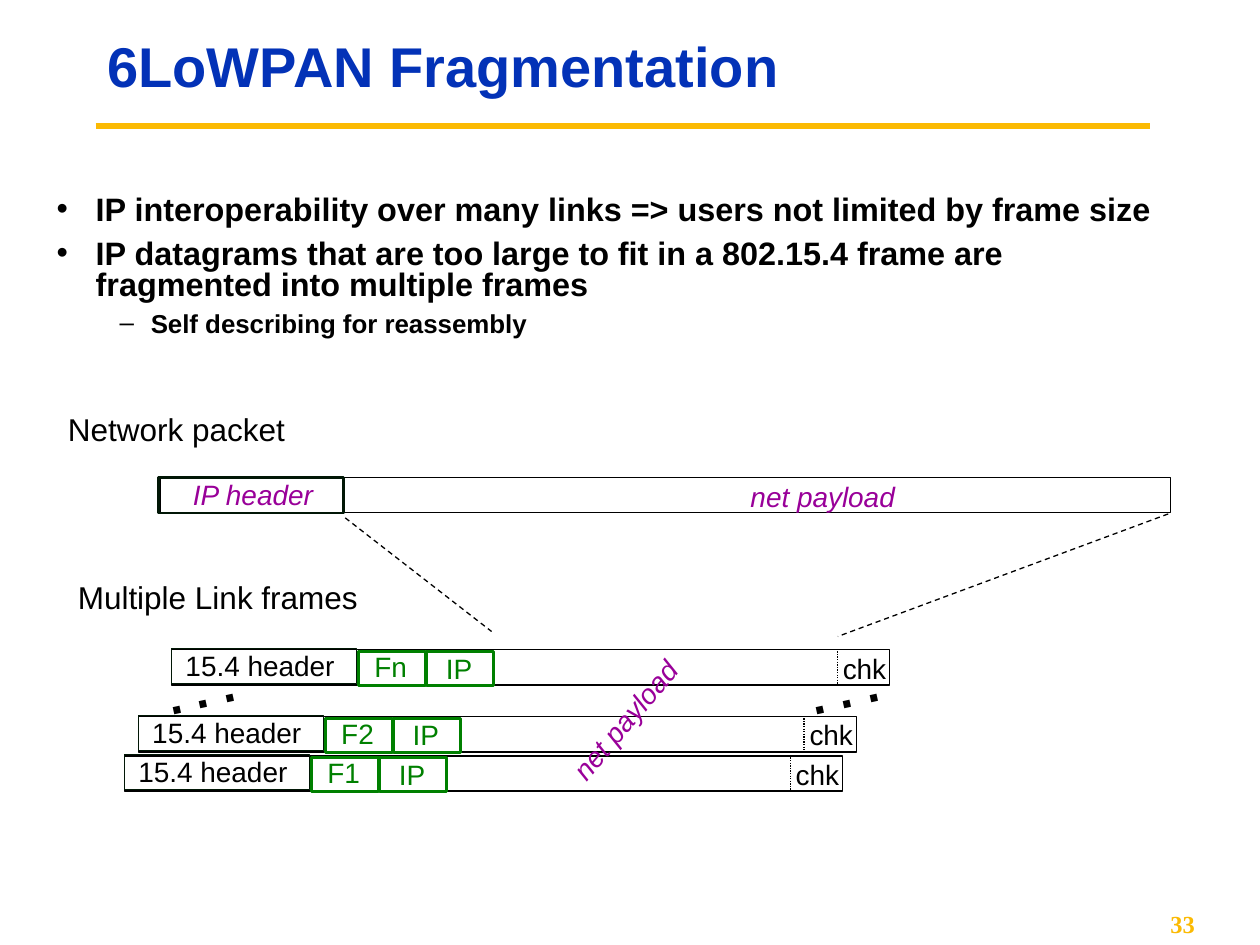
from lxml.etree import SubElement
from pptx import Presentation
from pptx.dml.color import RGBColor
from pptx.enum.dml import MSO_LINE
from pptx.enum.shapes import MSO_CONNECTOR, MSO_SHAPE
from pptx.enum.text import MSO_ANCHOR, MSO_AUTO_SIZE, PP_ALIGN
from pptx.oxml.ns import qn
from pptx.util import Cm, Pt

THEME = {
    "font": "Arial", "number_font": "Times New Roman",
    "title": "0332B7", "accent": "FBBA03", "text": "000000", "white": "FFFFFF",
    "payload": "990099", "fragment": "008000", "header": "011706",
    "title_size": 32, "label_size": 18, "field_size": 16, "dots_size": 28,
    "number_size": 14, "thin": 0.75, "thick": 1.5, "rule": 3.75,
}

# Content
TITLE = "6LoWPAN Fragmentation"
BULLETS = [  # text, level
    ("IP interoperability over many links => users not limited by frame size", 0),
    ("IP datagrams that are too large to fit in a 802.15.4 frame are "
     "fragmented into multiple frames", 0),
    ("Self describing for reassembly", 1),
]
BULLET_LEVELS = [  # character, size, space before, left margin, hanging indent
    ("•", 18.5, 7.5, 0.79, 0.79),
    ("–", 14.8, 6, 1.9, 0.63),
]
LABELS = [  # text, left, top, width
    ("Network packet", 1.12, 8.15, 4.95),
    ("Multiple Link frames", 1.32, 11.53, 6.25),
]
FRAMES = [("F1", 2.51, 15.24), ("F2", 2.79, 14.45), ("Fn", 3.46, 13.1)]
DOTS_LEFTS = [16.08, 3.1]
ZOOM_LINES = [(6.96, 10.44, 9.91, 12.73), (23.55, 10.36, 16.89, 12.83)]

# Row geometry in cm
ROW_HEIGHT, HEADER_WIDTH = 0.71, 3.73
FRAME_WIDTH, FRAGMENT_WIDTH = 14.48, 1.35
FRAGMENT_LEFT, FRAGMENT_STEP = 3.77, 1.37
CHECK_LEFT = 13.42
PAYLOAD_WIDTH = 3.6


def color(name):
    return RGBColor.from_string(THEME[name])


def style_font(paragraph, size, color_name, bold=False, italic=False, font="font"):
    for run in paragraph.runs:
        run.font.name = THEME[font]
        run.font.size = Pt(size)
        run.font.bold, run.font.italic = bold, italic
        run.font.color.rgb = color(color_name)


def add_text(shapes, text, left, top, width, height, size, color_name,
             wrap=False, rotation=0, **style):
    box = shapes.add_textbox(Cm(left), Cm(top), Cm(width), Cm(height))
    box.rotation = rotation
    frame = box.text_frame
    frame.word_wrap = wrap
    frame.auto_size = MSO_AUTO_SIZE.NONE if wrap else MSO_AUTO_SIZE.SHAPE_TO_FIT_TEXT
    frame.text = text
    style_font(frame.paragraphs[0], size, color_name, **style)
    return box


def add_field(shapes, text, left, top, width, color_name="text", **style):
    return add_text(shapes, text, left, top, width, 0.94,
                    THEME["field_size"], color_name, **style)


def add_box(shapes, left, top, width, height, line, weight, filled=True):
    box = shapes.add_shape(MSO_SHAPE.RECTANGLE, Cm(left), Cm(top), Cm(width), Cm(height))
    box.shadow.inherit = False
    if filled:
        box.fill.solid()
        box.fill.fore_color.rgb = color("white")
    else:
        box.fill.background()
    box.line.color.rgb = color(line)
    box.line.width = Pt(THEME[weight])


def add_line(shapes, x1, y1, x2, y2, line="text", weight="thin", dash=None):
    connector = shapes.add_connector(MSO_CONNECTOR.STRAIGHT, Cm(x1), Cm(y1), Cm(x2), Cm(y2))
    connector.line.color.rgb = color(line)
    connector.line.width = Pt(THEME[weight])
    if dash:
        connector.line.dash_style = dash
    SubElement(connector._element.spPr, qn("a:effectLst"))


def add_bullet(paragraph, character, margin, hanging):
    properties = paragraph._p.get_or_add_pPr()
    properties.set("marL", str(Cm(margin)))
    properties.set("indent", str(-Cm(hanging)))
    bullet_color = SubElement(properties, qn("a:buClr"))
    SubElement(bullet_color, qn("a:srgbClr"), val=THEME["text"])
    SubElement(properties, qn("a:buFont"), typeface=THEME["font"])
    SubElement(properties, qn("a:buChar"), char=character)


def add_bullets(shapes):
    box = shapes.add_textbox(Cm(0.89), Cm(3.84), Cm(23.24), Cm(3.89))
    frame = box.text_frame
    frame.word_wrap = True
    for index, (text, level) in enumerate(BULLETS):
        paragraph = frame.add_paragraph() if index else frame.paragraphs[0]
        character, size, space, margin, hanging = BULLET_LEVELS[level]
        paragraph.text = text
        paragraph.level = level
        add_bullet(paragraph, character, margin, hanging)
        paragraph.line_spacing = 0.8
        paragraph.space_before = Pt(space if index else 0)
        style_font(paragraph, size, "text", bold=True)


def add_link_frame(slide, name, left, top):
    shapes = slide.shapes.add_group_shape().shapes
    add_box(shapes, left, top, FRAME_WIDTH, ROW_HEIGHT, "text", "thin")
    # Checksum
    add_field(shapes, "chk", left + 13.28, top - 0.1, 1.6)
    check = left + CHECK_LEFT
    add_line(shapes, check, top + 0.03, check, top + ROW_HEIGHT, dash=MSO_LINE.ROUND_DOT)
    # Link header
    add_box(shapes, left, top - 0.03, HEADER_WIDTH, ROW_HEIGHT, "header", "thin", filled=False)
    add_field(shapes, "15.4 header", left + 0.03, top - 0.15, 3.6)
    # Fragment and IP fields
    fields = [(name, 0.07, -0.13, 1.25), ("IP", 0.14, -0.1, 1.12)]
    for index, (text, inset, rise, width) in enumerate(fields):
        field_left = left + FRAGMENT_LEFT + index * FRAGMENT_STEP
        add_box(shapes, field_left, top + 0.03, FRAGMENT_WIDTH, 0.69, "fragment", "thick")
        add_field(shapes, text, field_left + inset, top + rise, width, "fragment")


def main():
    presentation = Presentation()
    presentation.slide_width, presentation.slide_height = Cm(25.4), Cm(19.05)
    slide = presentation.slides.add_slide(presentation.slide_layouts[5])
    shapes = slide.shapes

    # Title and rule
    add_line(shapes, 1.93, 2.54, 23.19, 2.54, "accent", "rule")
    title = shapes.title
    title.left, title.top, title.width, title.height = Cm(1.91), Cm(0.64), Cm(21.39), Cm(1.52)
    title.text_frame.text = TITLE
    title.text_frame.auto_size = MSO_AUTO_SIZE.NONE
    title.text_frame.vertical_anchor = MSO_ANCHOR.MIDDLE
    heading = title.text_frame.paragraphs[0]
    heading.alignment = PP_ALIGN.LEFT
    heading.line_spacing = 0.9
    style_font(heading, THEME["title_size"], "title", bold=True)

    add_bullets(shapes)
    for text, left, top, width in LABELS:
        add_text(shapes, text, left, top, width, 1.02, THEME["label_size"], "text")

    # Network packet
    add_box(shapes, 3.23, 9.63, 20.37, ROW_HEIGHT, "text", "thin")
    add_field(shapes, "net payload", 14.88, 9.54, PAYLOAD_WIDTH, "payload", italic=True)
    add_box(shapes, 3.2, 9.63, HEADER_WIDTH, ROW_HEIGHT, "header", "thick", filled=False)
    add_field(shapes, "IP header", 3.64, 9.5, 3.05, "payload", italic=True)

    # Link frames
    for name, left, top in FRAMES:
        add_link_frame(slide, name, left, top)
    for left in DOTS_LEFTS:
        add_text(shapes, ". . .", left, 13.17, 1.88, 1.45, THEME["dots_size"], "text",
                 rotation=347.5, bold=True)
    add_field(shapes, "net payload", 10.86, 13.97, PAYLOAD_WIDTH, "payload",
              rotation=310.2, italic=True)
    for ends in ZOOM_LINES:
        add_line(shapes, *ends, dash=MSO_LINE.DASH)

    # Page number
    number = add_text(shapes, "33", 20.73, 18.21, 3.61, 0.84, THEME["number_size"], "accent",
                      wrap=True, bold=True, font="number_font")
    number.text_frame.vertical_anchor = MSO_ANCHOR.MIDDLE
    number.text_frame.paragraphs[0].alignment = PP_ALIGN.RIGHT

    presentation.save("out.pptx")


if __name__ == "__main__":
    main()
